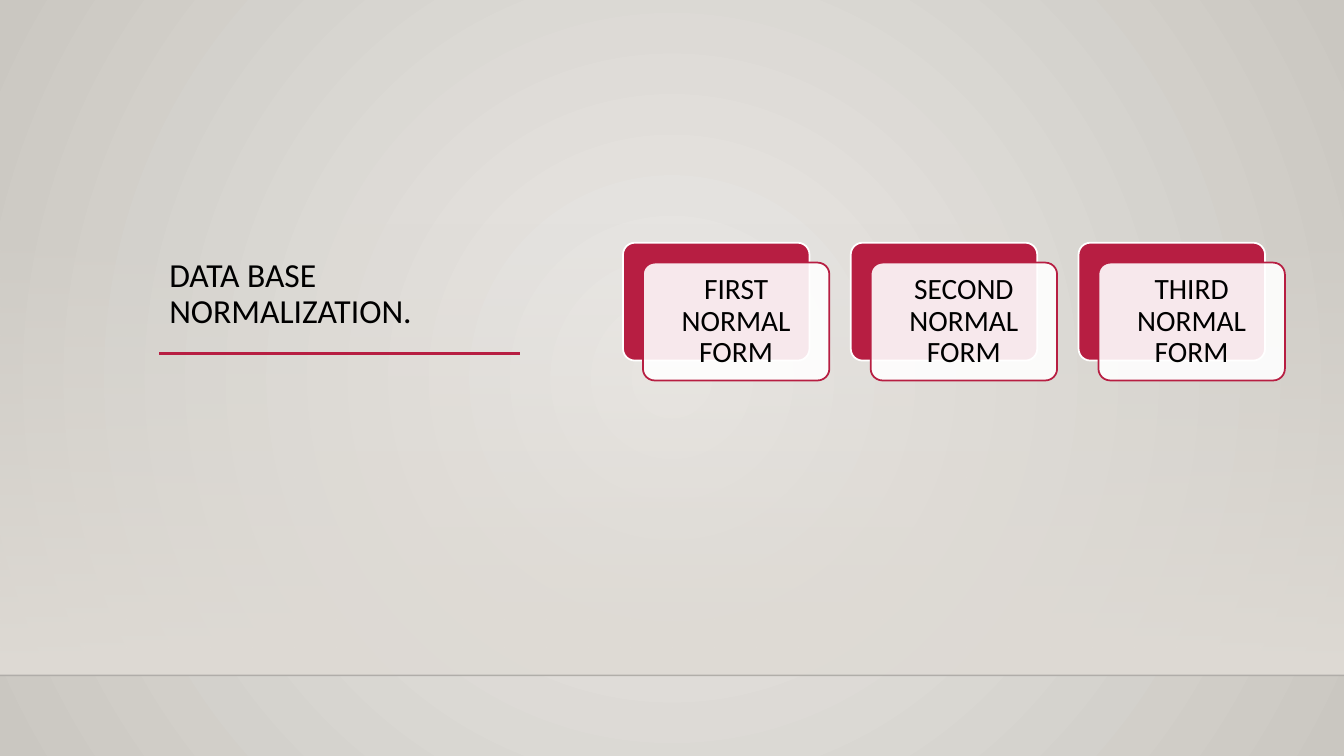
from dataclasses import dataclass

from lxml.etree import SubElement
from pptx import Presentation
from pptx.dml.color import RGBColor as Color
from pptx.enum.shapes import MSO_CONNECTOR as Connector, MSO_SHAPE as Preset
from pptx.enum.text import MSO_ANCHOR as Anchor, PP_ALIGN as Align
from pptx.oxml import parse_xml
from pptx.oxml.ns import nsdecls, qn
from pptx.util import Pt


@dataclass(frozen=True)
class Theme:
    font: str = "Calibri"
    title_size: float = 24
    card_size: float = 21
    text: str = "000000"
    accent: str = "B71E42"
    white: str = "FFFFFF"
    center: str = "ECEAE7"
    edge: str = "CAC7C1"
    wall: str = "DFDBD5"
    floor_line: str = "000001"


@dataclass(frozen=True)
class Box:
    left: float
    top: float
    width: float
    height: float

    def shifted(self, across: float, down: float) -> "Box":
        return Box(self.left + across, self.top + down, self.width, self.height)

    def lengths(self) -> tuple:
        return Pt(self.left), Pt(self.top), Pt(self.width), Pt(self.height)


@dataclass(frozen=True)
class Rule:
    left: float
    right: float
    height: float
    color: str
    weight: float
    opacity: int = 100


THEME = Theme()
WIDTH, HEIGHT = 960, 540
FLOOR = 482.4
WALL = Box(0, 159, WIDTH, FLOOR - 159)
TITLE = Box(113.8, 62.6, 257.8, 177.1)
RULES = [
    Rule(0, WIDTH, FLOOR, THEME.floor_line, 1, 20),
    Rule(TITLE.left, TITLE.left + TITLE.width, 252.5, THEME.accent, 2.5),
]
FIRST_CARD = Box(445, 173.4, 133.2, 84.2)
CARD_STEP = 162.7
FRONT_SHIFT = 14.2
FORMS = ["FIRST NORMAL FORM", "SECOND NORMAL FORM", "THIRD NORMAL FORM"]
RADIAL = '<a:path path="circle"><a:fillToRect l="50000" t="50000" r="50000" b="50000"/></a:path>'
DOWNWARD = '<a:lin ang="5400000" scaled="0"/>'


def set_opacity(element, percent: int) -> None:
    """Make the first solid fill of an element partly transparent."""
    solid = next(element.iter(qn("a:solidFill")))
    SubElement(solid[0], qn("a:alpha")).set("val", str(percent * 1000))


def set_gradient(element, start: str, end: str, direction: str, start_opacity: int = 100) -> None:
    """Swap the first solid fill of an element for a two-stop gradient."""
    solid = next(element.iter(qn("a:solidFill")))
    gradient = parse_xml(
        f'<a:gradFill {nsdecls("a")} rotWithShape="1"><a:gsLst>'
        f'<a:gs pos="0"><a:srgbClr val="{start}"><a:alpha val="{start_opacity * 1000}"/></a:srgbClr></a:gs>'
        f'<a:gs pos="100000"><a:srgbClr val="{end}"/></a:gs>'
        f'</a:gsLst>{direction}</a:gradFill>'
    )
    solid.getparent().replace(solid, gradient)


def add_block(page, preset, box: Box, fill: str):
    shape = page.shapes.add_shape(preset, *box.lengths())
    shape.shadow.inherit = False
    shape.fill.solid()
    shape.fill.fore_color.rgb = Color.from_string(fill)
    return shape


def add_rule(page, rule: Rule) -> None:
    line = page.shapes.add_connector(
        Connector.STRAIGHT, Pt(rule.left), Pt(rule.height), Pt(rule.right), Pt(rule.height)
    )
    line.line.color.rgb = Color.from_string(rule.color)
    line.line.width = Pt(rule.weight)
    if rule.opacity < 100:
        set_opacity(line.element, rule.opacity)
    SubElement(line.element.spPr, qn("a:effectLst"))


def write(shape, text: str, size: float, align, anchor) -> None:
    frame = shape.text_frame
    frame.text = text
    frame.word_wrap = True
    frame.vertical_anchor = anchor
    para = frame.paragraphs[0]
    para.alignment = align
    para.line_spacing = 0.9
    span = para.runs[0]
    span.font.name = THEME.font
    span.font.size = Pt(size)
    span.font.color.rgb = Color.from_string(THEME.text)


def add_card(page, box: Box, fill: str, border: str):
    card = add_block(page, Preset.ROUNDED_RECTANGLE, box, fill)
    card.adjustments[0] = 0.1
    card.line.color.rgb = Color.from_string(border)
    card.line.width = Pt(1.25)
    return card


def add_form(page, box: Box, label: str) -> None:
    """Draw a solid card with a translucent, labelled card over it."""
    add_card(page, box, THEME.accent, THEME.white)
    front = add_card(page, box.shifted(FRONT_SHIFT, FRONT_SHIFT), THEME.white, THEME.accent)
    set_opacity(front.element, 90)
    frame = front.text_frame
    frame.margin_left = frame.margin_right = Pt(6.5)
    frame.margin_top = frame.margin_bottom = Pt(6.5)
    write(front, label, THEME.card_size, Align.CENTER, Anchor.MIDDLE)


def main() -> None:
    deck = Presentation()
    deck.slide_width, deck.slide_height = Pt(WIDTH), Pt(HEIGHT)
    page = deck.slides.add_slide(deck.slide_layouts[6])

    # Backdrop: radial background, wall fading in towards the floor
    page.background.fill.solid()
    page.background.fill.fore_color.rgb = Color.from_string(THEME.center)
    set_gradient(page.element, THEME.center, THEME.edge, RADIAL)
    wall = add_block(page, Preset.RECTANGLE, WALL, THEME.wall)
    wall.line.fill.background()
    set_gradient(wall.element, THEME.wall, THEME.wall, DOWNWARD, start_opacity=0)

    # Floor line and title underline
    for rule in RULES:
        add_rule(page, rule)

    # Title
    title = page.shapes.add_textbox(*TITLE.lengths())
    write(title, "DATA BASE NORMALIZATION.", THEME.title_size, Align.LEFT, Anchor.BOTTOM)

    # Normal forms
    for index, label in enumerate(FORMS):
        add_form(page, FIRST_CARD.shifted(index * CARD_STEP, 0), label)

    deck.save("out.pptx")


if __name__ == "__main__":
    main()
